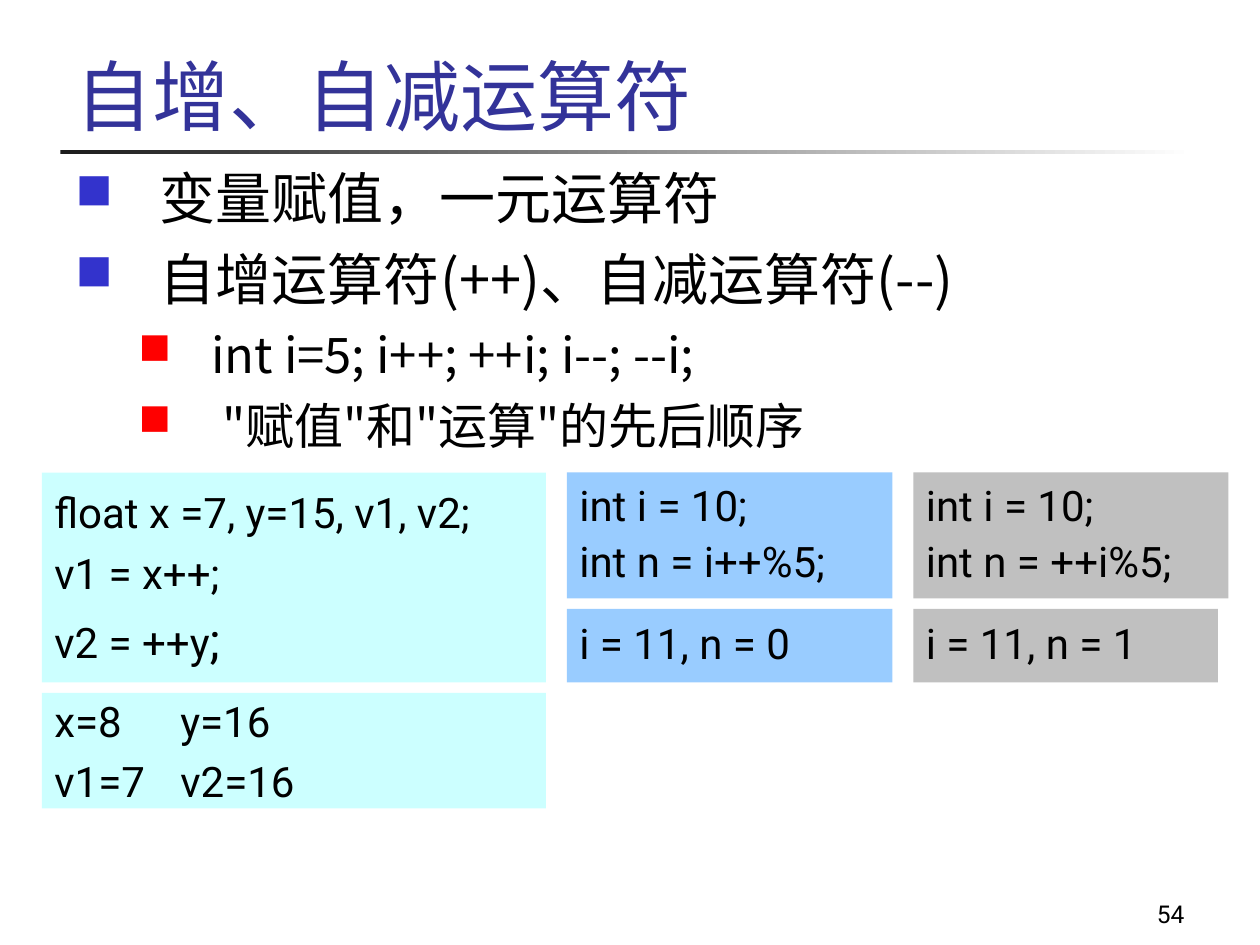
from dataclasses import dataclass
from lxml import etree
from pptx import Presentation, util as u
from pptx.dml.color import RGBColor
from pptx.enum import shapes, text
from pptx.oxml import ns


@dataclass(frozen=True)
class Theme:
    cjk: str = "Noto Sans CJK JP"
    latin: str = "Roboto"
    ink: str = "000000"
    title: str = "333399"
    rule: tuple = ("1C1C1C", "FFFFFF")
    bullets: tuple = ("3333CC", "FF0000")
    cyan: str = "CCFFFF"
    blue: str = "99CCFF"
    gray: str = "C0C0C0"
    title_pt: int = 44
    body_pt: tuple = (32, 28)
    code_pt: int = 24
    number_pt: int = 14


T = Theme()
prs = Presentation()
prs.slide_width, prs.slide_height = u.Inches(10), u.Inches(7.5)
s = prs.slides.add_slide(prs.slide_layouts[6])
cell = prs.slide_width // 120  # grid of 120 columns by 90 rows


def add_box(x, y, w, h, anchor, fill=None):
    """Place a text frame on the grid, on a filled rectangle if asked."""
    at = [round(v * cell) for v in (x, y, w, h)]
    if fill:
        sp = s.shapes.add_shape(shapes.MSO_SHAPE.RECTANGLE, *at)
        sp.shadow.inherit = False
        sp.fill.solid()
        sp.fill.fore_color.rgb = RGBColor.from_string(fill)
        sp.line.fill.background()
    else:
        sp = s.shapes.add_textbox(*at)
    tf = sp.text_frame
    tf.word_wrap, tf.vertical_anchor = True, anchor
    return tf


def add_par(tf, runs, font, color, indent=(0, 0), **formats):
    """Append a paragraph of (text, size) runs; indent is margin and first line."""
    p = tf.paragraphs[0] if not tf.paragraphs[0].runs else tf.add_paragraph()
    for name, value in {"alignment": text.PP_ALIGN.LEFT, **formats}.items():
        setattr(p, name, value)
    pPr = p._p.get_or_add_pPr()
    for name, inches in zip(("marL", "indent"), indent):
        pPr.set(name, str(u.Inches(inches)))
    for words, size in runs:
        r = p.add_run()
        r.text = words
        r.font.name, r.font.size = font, u.Pt(size)
        r.font.color.rgb = RGBColor.from_string(color)
        etree.SubElement(r._r.get_or_add_rPr(), ns.qn("a:ea"), typeface=font)
    return pPr


# Rule under the title
rule = s.shapes.add_shape(shapes.MSO_SHAPE.RECTANGLE, u.Inches(0.48), u.Inches(1.19),
                          u.Inches(9), u.Inches(0.03))
rule.shadow.inherit = False
rule.line.fill.background()
rule.fill.gradient()
rule.fill.gradient_angle = 0
for stop, position, color in zip(rule.fill.gradient_stops, (0, 1), T.rule):
    stop.position = position
    stop.color.rgb = RGBColor.from_string(color)

# Slide number and title
tf = add_box(89, 83, 25, 6, text.MSO_ANCHOR.BOTTOM)
add_par(tf, [("54", T.number_pt)], T.latin, T.ink, alignment=text.PP_ALIGN.RIGHT)
tf = add_box(6, 3, 102, 11, text.MSO_ANCHOR.BOTTOM)
add_par(tf, [("自增、自减运算符", T.title_pt)], T.cjk, T.title)

# Bulleted body
tf = add_box(6, 15, 102, 30, text.MSO_ANCHOR.TOP)
levels = [((0.67, -0.67), 8), ((1.08, -0.58), 7)]
for level, words in [(0, "变量赋值，一元运算符"),
                     (0, "自增运算符(++)、自减运算符(--)"),
                     (1, "int i=5; i++; ++i; i--; --i;"),
                     (1, ' "赋值"和"运算"的先后顺序')]:
    indent, before = levels[level]
    pPr = add_par(tf, [(words, T.body_pt[level])], T.cjk, T.ink, indent,
                  level=level, space_before=u.Pt(before))
    color = etree.SubElement(pPr, ns.qn("a:buClr"))
    etree.SubElement(color, ns.qn("a:srgbClr"), val=T.bullets[level])
    etree.SubElement(pPr, ns.qn("a:buSzPct"), val="90000")
    etree.SubElement(pPr, ns.qn("a:buChar"), char="■")

# Code panels and their results: grid place, fill, line spacing, lines
panels = [
    ((54, 45, 31, 12), T.blue, 0.9, ["int i = 10;", "int n = i++%5;"]),
    ((4, 45, 48, 20), T.cyan, 1.0, ["float x =7, y=15, v1, v2;", "v1 = x++;", "v2 = ++y;"]),
    ((87, 45, 30, 12), T.gray, 0.9, ["int i = 10;", "int n = ++i%5;"]),
    ((4, 66, 48, 11), T.cyan, 1.0, ["x=8\ty=16", "v1=7\tv2=16"]),
    ((54, 58, 31, 7), T.blue, 0.9, ["i = 11, n = 0"]),
    ((87, 58, 29, 7), T.gray, 0.9, ["i = 11, n = 1"]),
]
for place, fill, spacing, lines in panels:
    tf = add_box(*place, text.MSO_ANCHOR.MIDDLE, fill)
    for words in lines:
        runs, before = [(words, T.code_pt)], 6
        if words == "v2 = ++y;":  # larger closing semicolon
            runs, before = [(words[:-1], T.code_pt), (";", T.body_pt[1])], 7
        indent = (0.5, -0.5) if spacing < 1 else (0, 0)
        pPr = add_par(tf, runs, T.latin, T.ink, indent,
                      line_spacing=spacing, space_before=u.Pt(before))
        if "\t" in words:
            tabs = etree.SubElement(pPr, ns.qn("a:tabLst"))
            etree.SubElement(tabs, ns.qn("a:tab"), pos=str(u.Inches(0.87)), algn="l")

prs.save("out.pptx")
